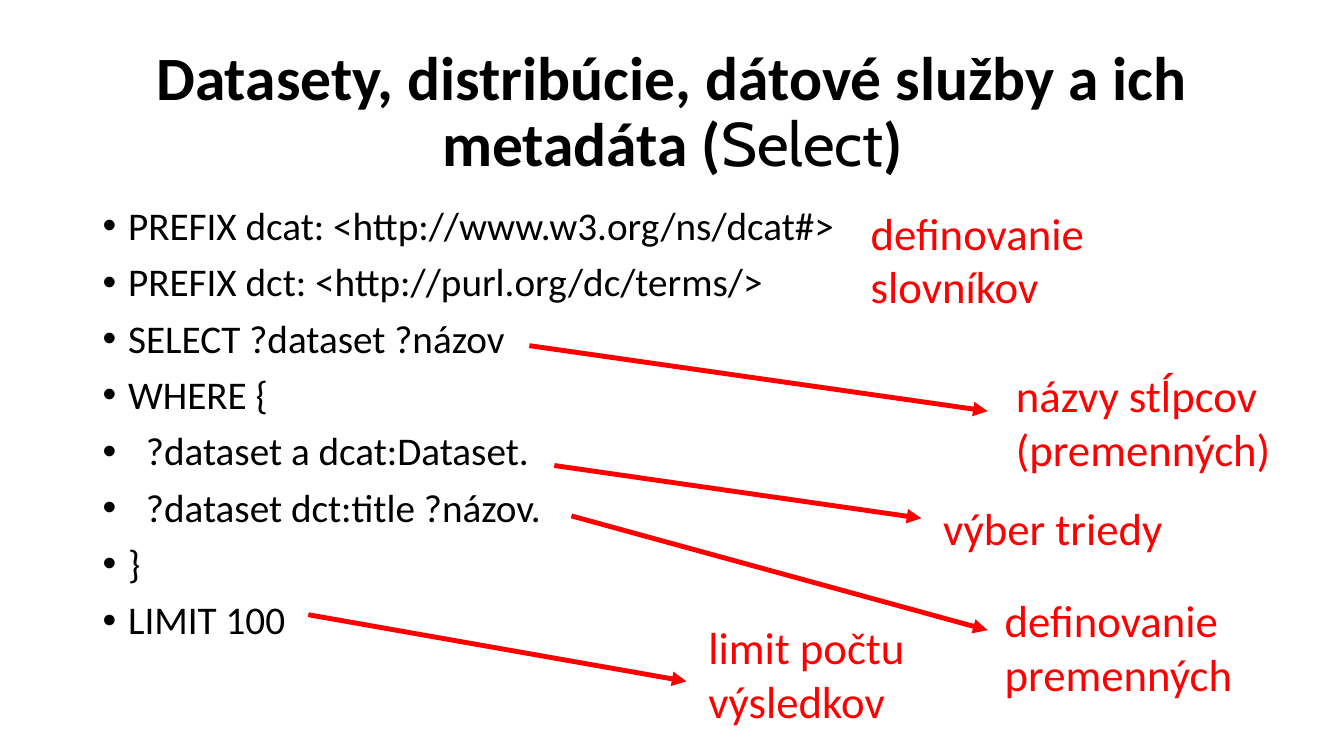
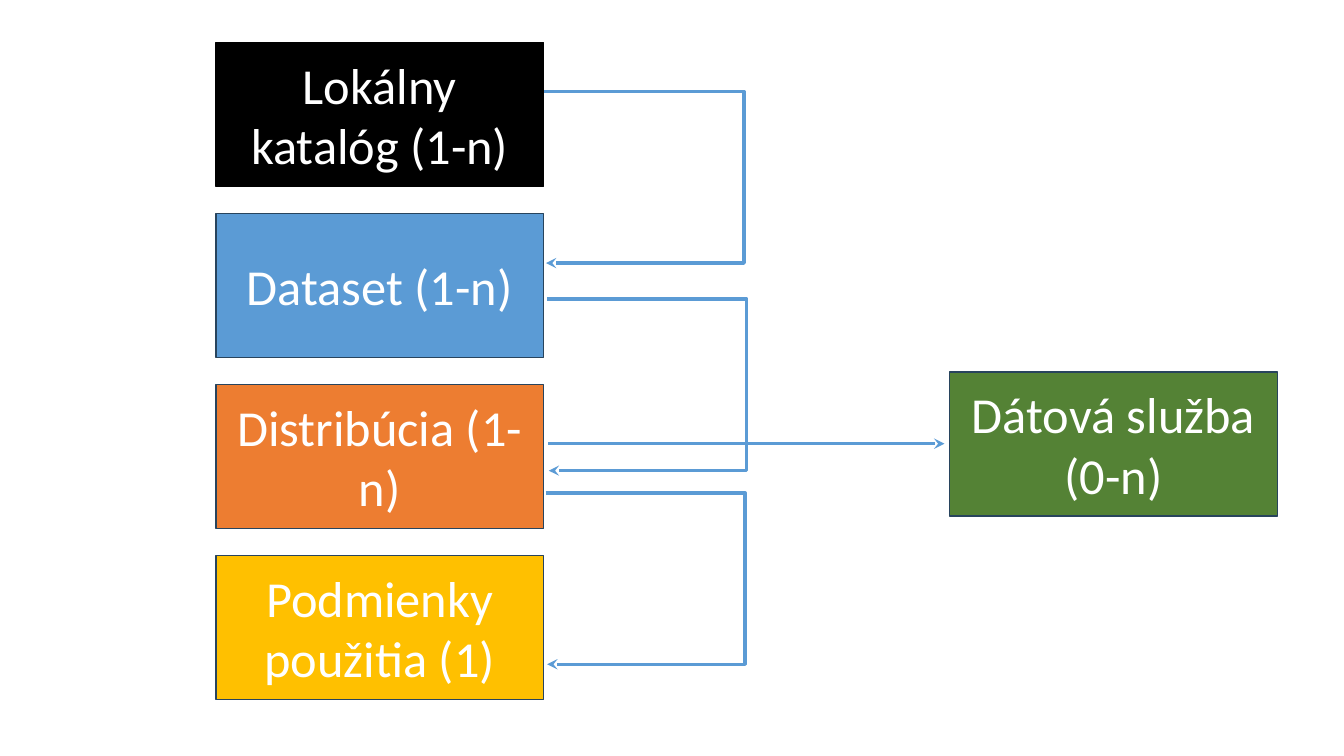
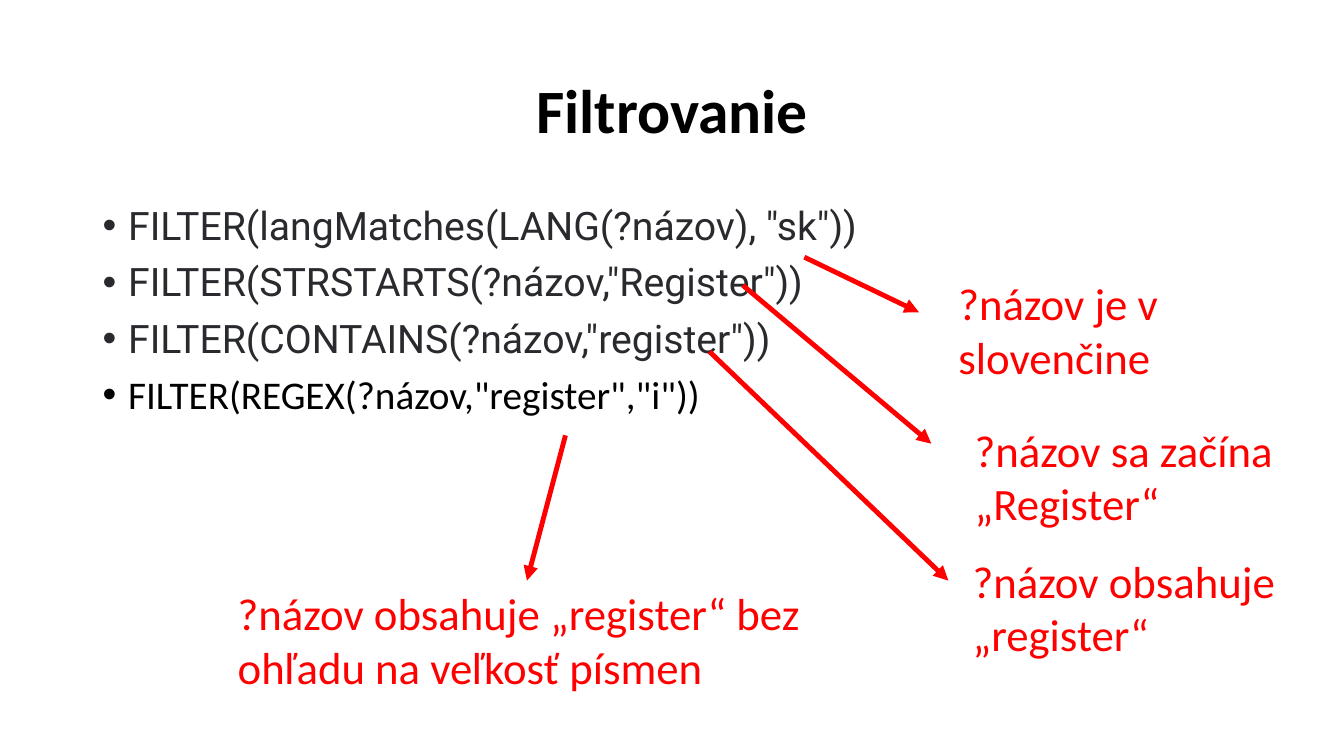
import lxml.etree
import pptx
import pptx.dml.color
import pptx.enum.shapes
import pptx.enum.text
import pptx.oxml.ns
import pptx.util

Cm = pptx.util.Cm
Pt = pptx.util.Pt
ALIGN = pptx.enum.text.PP_ALIGN
ANCHOR = pptx.enum.text.MSO_ANCHOR
FIT = pptx.enum.text.MSO_AUTO_SIZE
LINK = pptx.enum.shapes.MSO_CONNECTOR
RECT = pptx.enum.shapes.MSO_SHAPE.RECTANGLE

HEX = {
    "black": "000000", "white": "FFFFFF", "red": "FF0000", "ink": "292A2E",
    "blue": "5B9BD5", "orange": "ED7D31", "gold": "FFC000",
    "green": "548235", "edge": "28445D",
}

FONTS = {
    "title": {"name": "Calibri", "size": Pt(44), "bold": True, "color": "black"},
    "thin": {"name": "Cabin", "size": Pt(44), "bold": False, "color": "black"},
    "body": {"name": "Calibri", "size": Pt(28), "color": "black"},
    "code": {"name": "Roboto", "size": Pt(28), "color": "ink"},
    "note": {"name": "Calibri", "size": Pt(32), "color": "red"},
    "box": {"name": "Calibri", "size": Pt(36), "color": "white"},
}

ARROWS = {
    "note": {"color": "red", "width": Pt(3.5), "head": "triangle"},
    "flow": {"color": "blue", "width": Pt(2.5), "head": "stealth"},
}

TITLE_AREA = (2.34, 1.02, 29.21, 3.68)
BODY_AREA = (2.34, 5.08, 29.21, 12.09)
HANG = 0.64   # bullet to text
NEST = 0.45   # extra step of a nested line
BOX_W, BOX_H = 8.26, 3.63
BOX_X, BOX_Y, BOX_STEP = 5.44, 1.07, 4.31
LOOP_W, LOOP_H, LOOP_TIP = 5.03, 4.32, 0.04


def rgb(name):
    return pptx.dml.color.RGBColor.from_string(HEX[name])


def set_all(item, values):
    for key, value in values.items():
        setattr(item, key, value)


def sub(parent, tag, **attrs):
    return lxml.etree.SubElement(parent, pptx.oxml.ns.qn(tag), **attrs)


def add_run(para, text, kind):
    run = para.add_run()
    run.text = text
    look = dict(FONTS[kind])
    run.font.color.rgb = rgb(look.pop("color"))
    set_all(run.font, look)


def place(shape, area):
    sides = ("left", "top", "width", "height")
    set_all(shape, {side: Cm(n) for side, n in zip(sides, area)})


def add_title(slide, runs):
    title = slide.shapes.title
    place(title, TITLE_AREA)
    set_all(title.text_frame, {"word_wrap": True, "auto_size": FIT.NONE,
                               "vertical_anchor": ANCHOR.MIDDLE})
    para = title.text_frame.paragraphs[0]
    set_all(para, {"alignment": ALIGN.CENTER, "line_spacing": 0.9})
    for text, kind in runs:
        add_run(para, text, kind)


def add_text(slide, area, lines, wrap=True, fit=FIT.NONE):
    """Add a text box with one paragraph per (text, kind) and return them."""
    frame = slide.shapes.add_textbox(*map(Cm, area)).text_frame
    set_all(frame, {"word_wrap": wrap, "auto_size": fit})
    for i, (text, kind) in enumerate(lines):
        para = frame.add_paragraph() if i else frame.paragraphs[0]
        add_run(para, text, kind)
    return frame.paragraphs


def add_list(slide, rows):
    """Add the bullet list; each row is (text, kind, level)."""
    paras = add_text(slide, BODY_AREA, [row[:2] for row in rows])
    for para, (_, _, level) in zip(paras, rows):
        set_all(para, {"line_spacing": 0.9, "space_before": Pt(10)})
        props = para._p.get_or_add_pPr()
        dent = Cm(HANG + NEST * level)
        props.set("marL", str(dent))
        props.set("indent", str(-dent))
        sub(props, "a:buFont", typeface="Arial")
        sub(props, "a:buChar", char="•")


def add_note(slide, area, *lines, wrap=True):
    add_text(slide, area, [(line, "note") for line in lines],
             wrap, FIT.SHAPE_TO_FIT_TEXT)


def add_arrow(slide, ends, kind, form=LINK.STRAIGHT):
    look = ARROWS[kind]
    arrow = slide.shapes.add_connector(form, *map(Cm, ends))
    arrow.line.color.rgb = rgb(look["color"])
    arrow.line.width = look["width"]
    sub(arrow.line._get_or_add_ln(), "a:tailEnd", type=look["head"])
    sub(arrow._element.spPr, "a:effectLst")
    return arrow


def add_loop(slide, x, y):
    """Add an elbow arrow that swings right and comes back one box lower."""
    ends = (x, y, x + LOOP_TIP, y + LOOP_H)
    arrow = add_arrow(slide, ends, "flow", LINK.ELBOW)
    geom = arrow._element.spPr.find(pptx.oxml.ns.qn("a:prstGeom"))
    guides = geom.find(pptx.oxml.ns.qn("a:avLst"))
    if guides is None:
        guides = sub(geom, "a:avLst")
    bend = round(LOOP_W / LOOP_TIP * 100000)
    sub(guides, "a:gd", name="adj1", fmla=f"val {bend}")


def add_box(slide, x, y, text, fill, edge="edge"):
    box = slide.shapes.add_shape(RECT, Cm(x), Cm(y), Cm(BOX_W), Cm(BOX_H))
    box.shadow.inherit = False
    box.fill.solid()
    box.fill.fore_color.rgb = rgb(fill)
    box.line.color.rgb = rgb(edge)
    box.line.width = Pt(1)
    set_all(box.text_frame, {"word_wrap": True,
                             "vertical_anchor": ANCHOR.MIDDLE})
    para = box.text_frame.paragraphs[0]
    para.alignment = ALIGN.CENTER
    add_run(para, text, "box")


def build_select(slide):
    add_title(slide, [
        ("Datasety, distribúcie, dátové služby a ich metadáta (", "title"),
        ("Select", "thin"), (")", "title")])
    add_list(slide, [
        ("PREFIX dcat: <http://www.w3.org/ns/dcat#>", "body", 0),
        ("PREFIX dct: <http://purl.org/dc/terms/>", "body", 0),
        ("SELECT ?dataset ?názov", "body", 0),
        ("WHERE {", "body", 0),
        ("?dataset a dcat:Dataset.", "body", 1),
        ("?dataset dct:title ?názov.", "body", 1),
        ("}", "body", 0),
        ("LIMIT 100", "body", 0)])
    for ends in ((13.34, 8.71, 24.89, 10.36), (13.97, 11.73, 23.22, 13.06),
                 (14.4, 13, 24.89, 15.88), (7.77, 15.49, 17.3, 17.17)):
        add_arrow(slide, ends, "note")
    add_note(slide, (21.69, 5.05, 6.63, 3), "definovanie slovníkov")
    add_note(slide, (25.35, 9.14, 7.77, 3), "názvy stĺpcov (premenných)")
    add_note(slide, (23.52, 12.5, 6.1, 1.63), "výber triedy", wrap=False)
    add_note(slide, (25.07, 14.81, 6.3, 3), "definovanie", "premenných",
             wrap=False)
    add_note(slide, (17.6, 15.49, 6.63, 3), "limit počtu výsledkov")


def build_model(slide):
    stack = (("Lokálny katalóg (1-n)", "black", "black"),
             ("Dataset (1-n)", "blue"),
             ("Distribúcia (1-n)", "orange"),
             ("Podmienky použitia (1)", "gold"))
    for i, look in enumerate(stack):
        add_box(slide, BOX_X, BOX_Y + i * BOX_STEP, *look)
    add_box(slide, 23.93, 9.37, "Dátová služba (0-n)", "green")
    for x, y in ((13.72, 2.31), (13.79, 7.54), (13.75, 12.42)):
        add_loop(slide, x, y)
    add_arrow(slide, (13.82, 11.18, 23.8, 11.18), "flow")


def build_filter(slide):
    add_title(slide, [("Filtrovanie", "title")])
    add_list(slide, [
        ('FILTER(langMatches(LANG(?názov), "sk"))', "code", 0),
        ('FILTER(STRSTARTS(?názov,"Register"))', "code", 0),
        ('FILTER(CONTAINS(?názov,"register"))', "code", 0),
        ('FILTER(REGEX(?názov,"register","i"))', "body", 0)])
    for ends in ((20.27, 6.48, 23.16, 7.87), (18.72, 7.19, 23.47, 11.18),
                 (17.88, 8.86, 23.9, 14.63), (14.25, 10.97, 13.28, 14.63)):
        add_arrow(slide, ends, "note")
    add_note(slide, (23.9, 6.83, 9.5, 3), "?názov je v slovenčine")
    add_note(slide, (24.31, 10.52, 9.09, 3), "?názov sa začína „Register“")
    add_note(slide, (24.26, 13.82, 9.6, 3), "?názov obsahuje „register“")
    add_note(slide, (5.74, 14.63, 15.11, 3),
             "?názov obsahuje „register“ bez ohľadu na veľkosť písmen")


def main():
    deck = pptx.Presentation()
    set_all(deck, {"slide_width": Cm(33.87), "slide_height": Cm(19.05)})
    titled, blank = deck.slide_layouts[5], deck.slide_layouts[6]
    for build, layout in ((build_select, titled), (build_model, blank),
                          (build_filter, titled)):
        build(deck.slides.add_slide(layout))
    deck.save("out.pptx")


if __name__ == "__main__":
    main()
